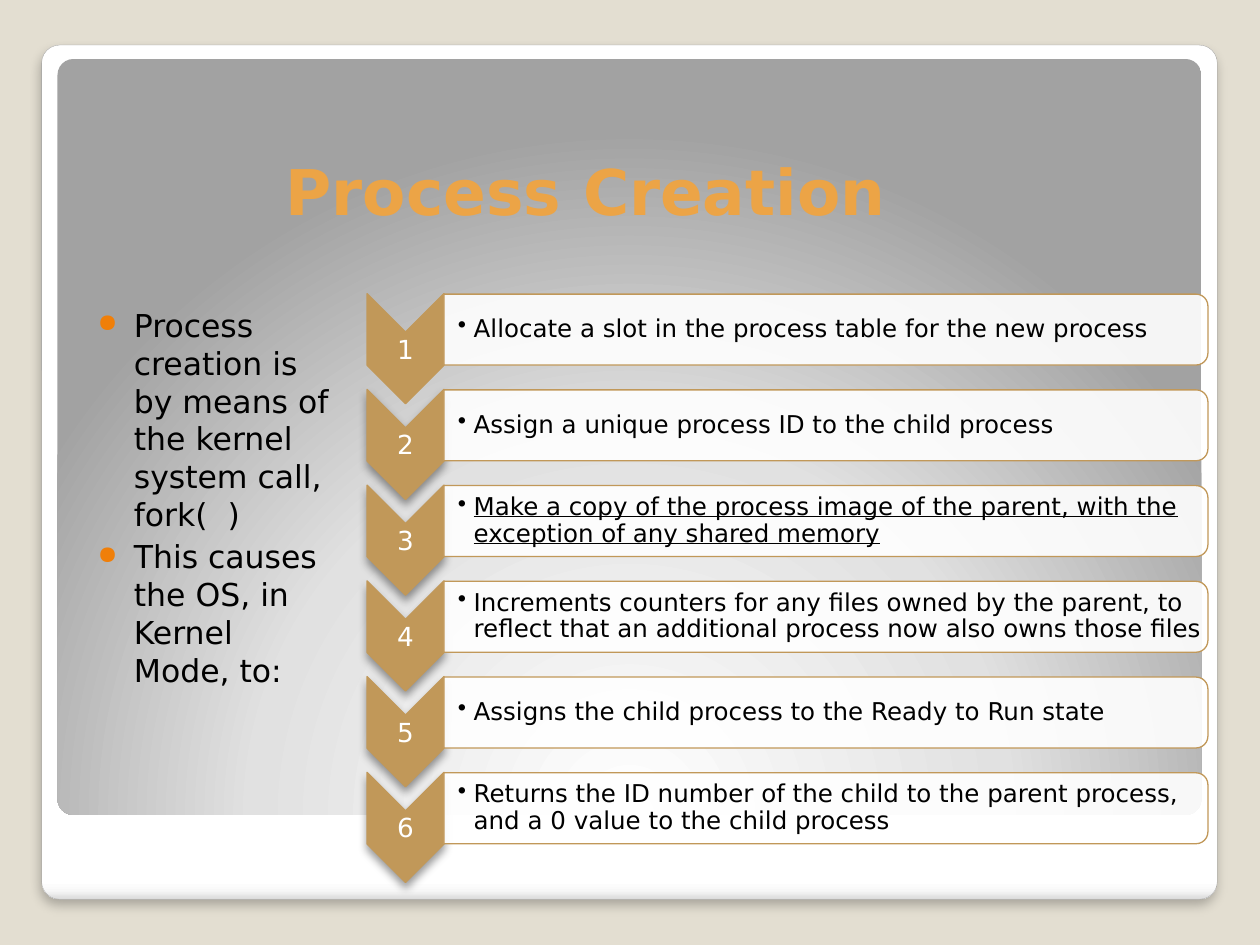
from pptx import Presentation
from pptx.dml.color import RGBColor as Rgb
from pptx.enum.shapes import MSO_SHAPE as Geo
from pptx.enum.text import MSO_ANCHOR as Anchor, PP_ALIGN as Align
from pptx.oxml import parse_xml
from pptx.oxml.ns import nsdecls, qn
from pptx.util import Cm, Pt

FONT = "DejaVu Sans"
HUES = {"back": "E3DED1", "edge": "A4A4A4", "gold": "ECA446", "tan": "C19859",
        "dot": "F07F09", "ink": "000000", "white": "FFFFFF"}
FRAME_STOPS = [(0, "FFFFFF"), (98, "FFFFFF"), (99, "F7F7F7"), (100, "DADADA")]
PANEL_STOPS = [(0, "FFFFFF"), (55, "E1E1E1"), (100, "A2A2A2")]
DOWN = '<a:lin ang="5400000" scaled="0"/>'
GLOW = ('<a:path path="circle"><a:fillToRect l="50000" t="175000" '
        'r="50000" b="-75000"/></a:path>')
NOTES = ["Process creation is by means of the kernel system call, fork(  )",
         "This causes the OS, in Kernel Mode, to:"]
STEPS = ["Allocate a slot in the process table for the new process",
         "Assign a unique process ID to the child process",
         "Make a copy of the process image of the parent, with the exception of any shared memory",
         "Increments counters for any files owned by the parent, to reflect that an "
         "additional process now also owns those files",
         "Assigns the child process to the Ready to Run state",
         "Returns the ID number of the child to the parent process, and a 0 value to the child process"]
MARKED = 3


def hue(name):
    """Return a palette colour."""
    return Rgb.from_string(HUES[name])


def node(text):
    """Parse one DrawingML element."""
    head, tail = text.split(">", 1)
    mark = "/" if head.endswith("/") else ""
    return parse_xml(f"{head.rstrip('/')} {nsdecls('a')}{mark}>{tail}")


def add_form(shapes, kind, left, top, width, height, line=None, weight=0.75):
    """Add a plain preset shape with an optional outline."""
    form = shapes.add_shape(kind, Cm(left), Cm(top), Cm(width), Cm(height))
    form.shadow.inherit = False
    if line:
        form.line.color.rgb = hue(line)
        form.line.width = Pt(weight)
    else:
        form.line.fill.background()
    return form


def add_turned(shapes, kind, left, top, width, height):
    """Add a shape turned a quarter right that covers the given box."""
    shift = (width - height) / 2
    form = add_form(shapes, kind, left + shift, top - shift, height, width, "tan")
    form.rotation = 90
    return form


def set_blend(form, stops, path):
    """Fill a shape with a gradient."""
    marks = "".join(f'<a:gs pos="{pos * 1000}"><a:srgbClr val="{code}"/></a:gs>'
                    for pos, code in stops)
    blend = node(f'<a:gradFill rotWithShape="1"><a:gsLst>{marks}</a:gsLst>{path}</a:gradFill>')
    form.element.spPr.find(qn("a:prstGeom")).addnext(blend)


def set_shade(form, alpha, blur, gap):
    """Cast a soft shadow straight down."""
    form.element.spPr.find(qn("a:effectLst")).append(node(
        f'<a:outerShdw blurRad="{Pt(blur)}" dist="{Pt(gap)}" dir="5400000" rotWithShape="0">'
        f'<a:srgbClr val="{HUES["ink"]}"><a:alpha val="{alpha * 1000}"/></a:srgbClr></a:outerShdw>'))


def add_words(shapes, box, lines, size, color, pads, anchor=Anchor.MIDDLE):
    """Add a wrapped text box and return its frame."""
    frame = shapes.add_textbox(*map(Cm, box)).text_frame
    frame.word_wrap = True
    frame.vertical_anchor = anchor
    (frame.margin_left, frame.margin_top,
     frame.margin_right, frame.margin_bottom) = map(Cm, pads)
    frame.text = "\n".join(lines)
    for para in frame.paragraphs:
        font = para.runs[0].font
        font.name, font.size, font.color.rgb = FONT, Pt(size), hue(color)
    return frame


def set_bullet(para, sign, indent, color, scale=100):
    """Give a paragraph a hanging bullet."""
    props = para._p.get_or_add_pPr()
    props.set("marL", str(Cm(indent)))
    props.set("indent", str(-Cm(indent)))
    for text in (f'<a:buClr><a:srgbClr val="{HUES[color]}"/></a:buClr>',
                 f'<a:buSzPct val="{scale * 1000}"/>', f'<a:buChar char="{sign}"/>'):
        props.append(node(text))


def draw_frame(shapes, left, top, width, height):
    """Draw the white card and its shaded panel."""
    card = add_form(shapes, Geo.ROUNDED_RECTANGLE, left, top, width, height, "edge", 0.16)
    set_blend(card, FRAME_STOPS, DOWN)
    set_shade(card, 25, 6, 4)
    panel = add_form(shapes, Geo.ROUNDED_RECTANGLE, left + 0.32, top + 0.28,
                     width - 0.64, height - 1.98)
    set_blend(panel, PANEL_STOPS, GLOW)
    for form in (card, panel):
        form.adjustments[0] = 0.021


def draw_title(shapes, *box):
    """Draw the heading."""
    frame = add_words(shapes, box, ["Process Creation"], 36, "gold",
                      (0.25, 0.13, 0.25, 0.13), Anchor.BOTTOM)
    frame.paragraphs[0].runs[0].font.bold = True


def draw_notes(shapes, *box):
    """Draw the bullets beside the steps."""
    frame = add_words(shapes, box, NOTES, 18, "ink", (0.5, 0.25, 0.25, 0.13), Anchor.TOP)
    for para in frame.paragraphs:
        para.space_before = Pt(2.5)
        set_bullet(para, "●", 0.73, "dot", 80)


def draw_step(shapes, left, top, width, count, text):
    """Draw one numbered chevron and its card."""
    wide, tall = 1.55, 2.22
    arrow = add_turned(shapes, Geo.CHEVRON, left, top, wide, tall)
    arrow.fill.solid()
    arrow.fill.fore_color.rgb = hue("tan")
    if count > 1:
        set_shade(arrow, 40, 5.2, 3)
    thin = (0.03,) * 4
    label = add_words(shapes, (left, top + 0.78, wide, 0.66), [str(count)], 15, "white", thin)
    label.paragraphs[0].alignment = Align.CENTER

    card = add_turned(shapes, Geo.ROUND_2_SAME_RECTANGLE, left + wide, top + 0.01,
                      width - wide, 1.43)
    card.fill.solid()
    card.fill.fore_color.rgb = hue("white")
    tint = card.element.spPr.find(qn("a:solidFill")).find(qn("a:srgbClr"))
    tint.append(node('<a:alpha val="90000"/>'))
    box = (left + wide, top + 0.08, width - wide - 0.07, 1.29)
    frame = add_words(shapes, box, [text], 14, "ink", (0.28, 0.03, 0.03, 0.03))
    para = frame.paragraphs[0]
    para.line_spacing = 0.9
    para.runs[0].font.underline = True if count == MARKED else None
    set_bullet(para, "•", 0.32, "ink")


def draw_steps(shapes, left, top, width, pitch):
    """Draw the chevron list as one group."""
    group = shapes.add_group_shape().shapes
    for count, text in enumerate(STEPS, 1):
        draw_step(group, left, top + (count - 1) * pitch, width, count, text)


def main():
    """Build and save the slide."""
    deck = Presentation()
    deck.slide_width, deck.slide_height = Cm(25.4), Cm(19.05)
    slide = deck.slides.add_slide(deck.slide_layouts[6])
    slide.background.fill.solid()
    slide.background.fill.fore_color.rgb = hue("back")
    shapes = slide.shapes
    draw_frame(shapes, 0.84, 0.91, 23.7, 17.22)
    draw_title(shapes, 5.51, 0.91, 16.31, 3.81)
    draw_notes(shapes, 1.47, 5.92, 5.41, 9.8)
    draw_steps(shapes, 7.4, 5.92, 16.95, 1.93)
    deck.save("out.pptx")


main()
